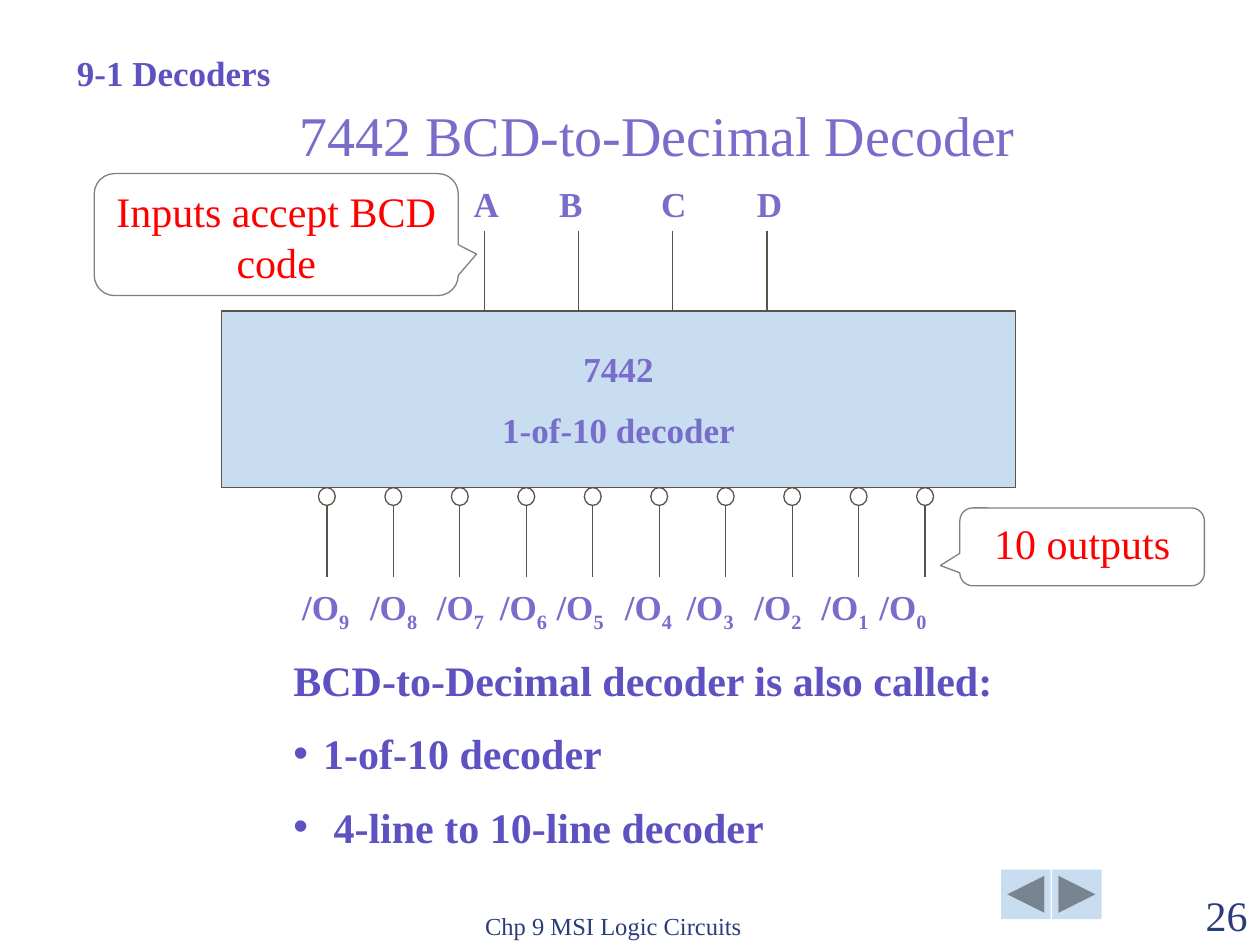
from dataclasses import dataclass

from lxml import etree
from pptx import Presentation
from pptx.dml.color import RGBColor
from pptx.enum import shapes, text
from pptx.oxml import ns
from pptx.util import Cm, Pt


@dataclass(frozen=True)
class Theme:
    """Fonts, type sizes and colours of the deck."""
    font: str = "Times New Roman"
    title_size: int = 32
    body_size: int = 24
    label_size: int = 20
    footer_size: int = 14
    title: str = "786DCB"
    body: str = "5E51C1"
    footer: str = "2A3D7A"
    callout: str = "FF0000"
    callout_line: str = "808080"
    line: str = "5B5249"
    panel: str = "C9DDF1"
    line_width: float = 0.75
    space_ratio: float = 0.55


@dataclass(frozen=True)
class Box:
    """A rectangle in centimetres."""
    left: float
    top: float
    width: float
    height: float

    def lengths(self):
        """Return the four values as slide lengths."""
        return Cm(self.left), Cm(self.top), Cm(self.width), Cm(self.height)

    def inner(self, left, top, width, height):
        """Return a box placed relative to this one."""
        return Box(self.left + left, self.top + top, width, height)


THEME = Theme()
ALIGN = text.PP_ALIGN
ANCHOR = text.MSO_ANCHOR
SHAPE = shapes.MSO_SHAPE


def style(paragraph, size, color, bold=False, align=ALIGN.LEFT, spaced=False):
    """Set the font, alignment and space before of a paragraph."""
    paragraph.alignment = align
    paragraph.space_before = Pt(size * THEME.space_ratio if spaced else 0)
    font = paragraph.font
    font.name, font.size, font.bold = THEME.font, Pt(size), bold
    font.color.rgb = RGBColor.from_string(color)


def add_property(paragraph, tag, **attributes):
    """Append a child element to the paragraph properties."""
    properties = paragraph._p.get_or_add_pPr()
    return etree.SubElement(properties, ns.qn(tag), attributes)


def add_tabs(paragraph, stops):
    """Add left tab stops given in centimetres."""
    tabs = add_property(paragraph, "a:tabLst")
    for stop in stops:
        etree.SubElement(tabs, ns.qn("a:tab"), pos=str(Cm(stop)), algn="l")


def add_text(parent, box, anchor=ANCHOR.TOP):
    """Add a wrapping text box and return its first paragraph."""
    frame = parent.shapes.add_textbox(*box.lengths()).text_frame
    frame.word_wrap = True
    frame.vertical_anchor = anchor
    return frame.paragraphs[0]


def add_panel(parent, kind, box, fill=None, line=None):
    """Add a preset shape with an optional fill and outline."""
    shape = parent.shapes.add_shape(kind, *box.lengths())
    shape.shadow.inherit = False
    if fill:
        shape.fill.solid()
        shape.fill.fore_color.rgb = RGBColor.from_string(fill)
    else:
        shape.fill.background()
    if line:
        shape.line.color.rgb = RGBColor.from_string(line)
        shape.line.width = Pt(THEME.line_width)
    else:
        shape.line.fill.background()
    return shape


def add_lead(parent, x, top, bottom):
    """Add one vertical pin line."""
    lead = parent.shapes.add_connector(
        shapes.MSO_CONNECTOR.STRAIGHT, Cm(x), Cm(top), Cm(x), Cm(bottom))
    lead.line.color.rgb = RGBColor.from_string(THEME.line)
    lead.line.width = Pt(THEME.line_width)
    etree.SubElement(lead._element.spPr, ns.qn("a:effectLst"))


def place_title(slide, box, wording):
    """Place the slide title."""
    title = slide.shapes.title
    title.left, title.top, title.width, title.height = box.lengths()
    frame = title.text_frame
    frame.text = wording
    frame.auto_size = text.MSO_AUTO_SIZE.NONE
    frame.vertical_anchor = ANCHOR.BOTTOM
    paragraph = frame.paragraphs[0]
    paragraph.line_spacing = 0.7
    style(paragraph, THEME.title_size, THEME.title, align=ALIGN.CENTER)


def place_list(slide, box, heading, items):
    """Place a heading with its bulleted list."""
    body = slide.placeholders[1]
    body.left, body.top, body.width, body.height = box.lengths()
    frame = body.text_frame
    frame.text = "\n".join([heading, *items])
    frame.auto_size = text.MSO_AUTO_SIZE.NONE
    for index, paragraph in enumerate(frame.paragraphs):
        indent = Cm(0.6) if index else 0
        properties = paragraph._p.get_or_add_pPr()
        properties.set("marL", str(indent))
        properties.set("indent", str(-indent))
        if index:
            add_property(paragraph, "a:buChar", char="•")
        else:
            add_property(paragraph, "a:buNone")
        style(paragraph, THEME.body_size, THEME.body, True, spaced=index > 0)


def draw_decoder(slide, box):
    """Draw the decoder block with its input and output pins."""
    group = slide.shapes.add_group_shape()
    chip_box = box.inner(0, 2.71, box.width, 3.56)
    chip_bottom = chip_box.top + chip_box.height
    chip = add_panel(group, SHAPE.RECTANGLE, chip_box, THEME.panel, THEME.line)
    chip.text_frame.text = "7442\n1-of-10 decoder"
    chip.text_frame.vertical_anchor = ANCHOR.MIDDLE
    for index, paragraph in enumerate(chip.text_frame.paragraphs):
        style(paragraph, THEME.label_size, THEME.title, True, ALIGN.CENTER, index > 0)

    for index in range(4):
        add_lead(group, box.left + 5.29 + 1.9 * index, box.top + 1.09, chip_box.top)
    inputs = add_text(group, box.inner(4.83, 0, 7.32, 1.09))
    inputs.add_run().text = "\t".join("ABCD")
    add_tabs(inputs, (1.72, 3.78, 5.71))
    style(inputs, THEME.label_size, THEME.title, True)

    bubble_width, bubble_height = 0.34, 0.36
    for index in range(10):
        x = box.left + 2.12 + 1.34 * index
        bubble = Box(x - bubble_width / 2, chip_bottom, bubble_width, bubble_height)
        add_panel(group, SHAPE.OVAL, bubble, line=THEME.line)
        add_lead(group, x, chip_bottom + bubble_height, chip_bottom + 1.8)
    outputs = add_text(group, box.inner(0.84, 8.12, 14.6, 1.09))
    for number in reversed(range(10)):
        outputs.add_run().text = "\t/O"
        subscript = outputs.add_run()
        subscript.text = str(number)
        subscript._r.get_or_add_rPr().set("baseline", "-25000")
    add_tabs(outputs, (0.53, 1.9, 3.25, 4.52, 5.66, 7.04, 8.28, 9.65, 11, 12.17))
    style(outputs, THEME.label_size, THEME.title, True)


def place_callout(slide, box, wording, pointer):
    """Place a rounded callout whose pointer is relative to its centre."""
    callout = add_panel(slide, SHAPE.ROUNDED_RECTANGULAR_CALLOUT, box,
                        line=THEME.callout_line)
    callout.adjustments[0], callout.adjustments[1] = pointer
    frame = callout.text_frame
    frame.text = wording
    frame.word_wrap = True
    frame.vertical_anchor = ANCHOR.TOP
    style(frame.paragraphs[0], THEME.body_size, THEME.callout, align=ALIGN.CENTER)


def place_caption(slide, box, wording, size, color, bold=False,
                  align=ALIGN.LEFT, anchor=ANCHOR.TOP):
    """Place a single line of text."""
    paragraph = add_text(slide, box, anchor)
    paragraph.add_run().text = wording
    style(paragraph, size, color, bold, align)


def place_footer(slide, box):
    """Place the navigation buttons, chapter name and slide number."""
    buttons = (SHAPE.ACTION_BUTTON_BACK_OR_PREVIOUS, SHAPE.ACTION_BUTTON_FORWARD_OR_NEXT)
    for index, kind in enumerate(buttons):
        add_panel(slide, kind, box.inner(10.65 + 1.03 * index, 0, 1, 1), THEME.panel)
    place_caption(slide, box.inner(0, 0.28, 8.05, 1.27), "Chp 9 MSI Logic Circuits",
                  THEME.footer_size, THEME.footer, anchor=ANCHOR.BOTTOM)
    place_caption(slide, box.inner(box.width - 2.54, 0.28, 2.54, 1.27), "26",
                  THEME.body_size, THEME.footer, align=ALIGN.RIGHT, anchor=ANCHOR.BOTTOM)


def main():
    """Build and save the decoder slide."""
    presentation = Presentation()
    presentation.slide_width, presentation.slide_height = Cm(25.4), Cm(19.05)
    slide = presentation.slides.add_slide(presentation.slide_layouts[1])
    place_footer(slide, Box(9.53, 17.53, 15.87, 1.52))
    place_title(slide, Box(2.46, 1.37, 21.59, 2.11), "7442 BCD-to-Decimal Decoder")
    draw_decoder(slide, Box(4.47, 3.56, 16, 9.22))
    place_list(slide, Box(5.66, 13.06, 14.73, 4.32), "BCD-to-Decimal decoder is also called:",
               ["1-of-10 decoder", " 4-line to 10-line decoder"])
    place_caption(slide, Box(1.3, 0.91, 4.42, 1.09), "9-1 Decoders",
                  THEME.label_size, THEME.body, bold=True)
    place_callout(slide, Box(1.9, 3.5, 7.34, 2.46), "Inputs accept BCD code", (0.55, 0.16))
    place_callout(slide, Box(19.35, 10.24, 4.93, 1.57), "10 outputs", (-0.58, 0.24))


    presentation.save("out.pptx")


if __name__ == "__main__":
    main()
